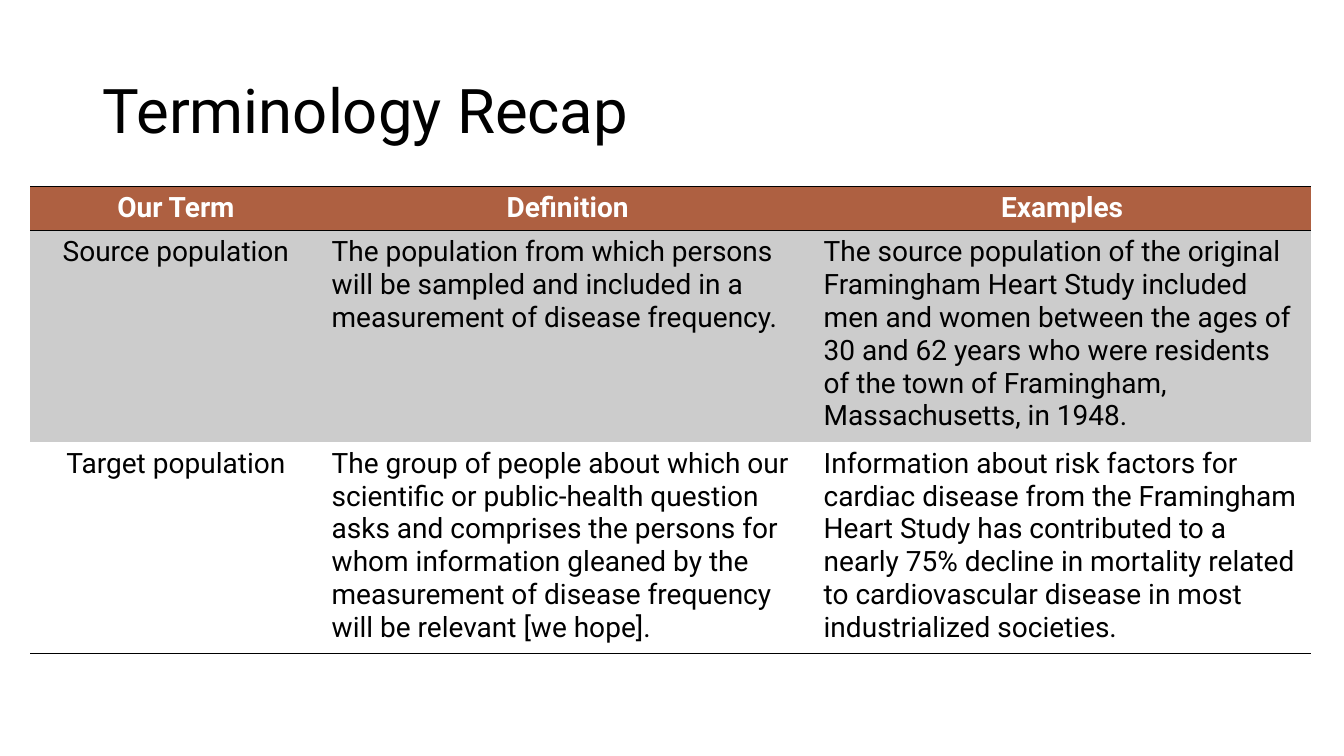
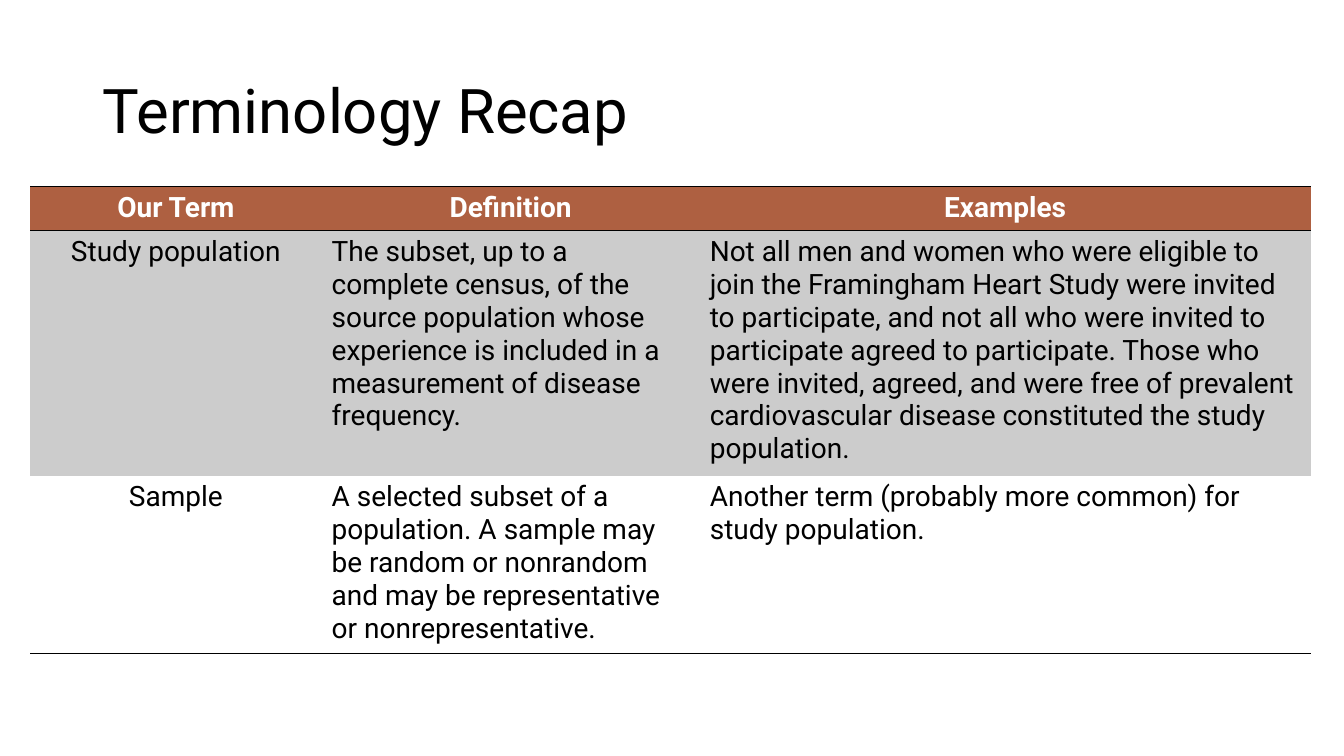
import pptx
import pptx.dml.color
import pptx.enum.text
import pptx.oxml
import pptx.oxml.ns
import pptx.util

Inches = pptx.util.Inches
Pt = pptx.util.Pt
ALIGN = pptx.enum.text.PP_ALIGN
ANCHOR = pptx.enum.text.MSO_ANCHOR

FONT = "Roboto"
BLACK, WHITE, RUST, GREY = "000000", "FFFFFF", "AE6041", "CCCCCC"
TITLE_BOX = (0.92, 0.4, 11.5, 1.45)
TABLE_BOX = (0.3, 1.85, 12.7, 4.55)
HEADER_HEIGHT = 0.43
HEADINGS = ("Our Term", "Definition", "Examples")

SLIDES = [
    {
        "title": "Terminology Recap",
        "widths": (2.89, 4.88, 4.93),
        "heights": (2.06, 2.06),
        "terms": [
            ("Source population",
             "The population from which persons will be sampled and included "
             "in a measurement of disease frequency.",
             "The source population of the original Framingham Heart Study "
             "included men and women between the ages of 30 and 62 years who "
             "were residents of the town of Framingham, Massachusetts, in 1948."),
            ("Target population",
             "The group of people about which our scientific or public-health "
             "question asks and comprises the persons for whom information "
             "gleaned by the measurement of disease frequency will be relevant "
             "[we hope].",
             "Information about risk factors for cardiac disease from the "
             "Framingham Heart Study has contributed to a nearly 75% decline in "
             "mortality related to cardiovascular disease in most "
             "industrialized societies."),
        ],
    },
    {
        "title": "Terminology Recap",
        "widths": (2.89, 3.75, 6.06),
        "heights": (2.38, 1.74),
        "terms": [
            ("Study population",
             "The subset, up to a complete census, of the source population "
             "whose experience is included in a measurement of disease "
             "frequency.",
             "Not all men and women who were eligible to join the Framingham "
             "Heart Study were invited to participate, and not all who were "
             "invited to participate agreed to participate. Those who were "
             "invited, agreed, and were free of prevalent cardiovascular "
             "disease constituted the study population."),
            ("Sample",
             "A selected subset of a population. A sample may be random or "
             "nonrandom and may be representative or nonrepresentative.",
             "Another term (probably more common) for study population."),
        ],
    },
]


def rgb(value):
    return pptx.dml.color.RGBColor.from_string(value)


def write(tf, text, color, align=ALIGN.LEFT, **font):
    p = tf.paragraphs[0]
    p.alignment = align
    r = p.add_run()
    r.text = text
    r.font.color.rgb = rgb(color)
    for name, value in {"name": FONT, **font}.items():
        setattr(r.font, name, value)
    return p


def set_borders(cell, ruled):
    """Rule the named sides in black and clear the others."""
    tc_pr = cell._tc.get_or_add_tcPr()
    for i, side in enumerate("LRTB"):
        line = (f'<a:solidFill><a:srgbClr val="{BLACK}"/></a:solidFill>'
                if side in ruled else "<a:noFill/>")
        tc_pr.insert(i, pptx.oxml.parse_xml(
            f'<a:ln{side} {pptx.oxml.ns.nsdecls("a")} w="{Pt(1)}">{line}</a:ln{side}>'))


def add_title(s, box, text):
    tf = s.shapes.add_textbox(*map(Inches, box)).text_frame
    tf.word_wrap = True
    tf.vertical_anchor = ANCHOR.MIDDLE
    write(tf, text, BLACK, size=Pt(44)).line_spacing = 0.9


def add_term_table(s, box, widths, heights, terms):
    rows = [HEADINGS, *terms]
    table = s.shapes.add_table(len(rows), len(widths), *map(Inches, box)).table
    table.first_row = table.horz_banding = False
    for column, width in zip(table.columns, widths):
        column.width = Inches(width)
    for row, height in zip(table.rows, (HEADER_HEIGHT, *heights)):
        row.height = Inches(height)

    for i, texts in enumerate(rows):
        header, last = i == 0, i == len(rows) - 1
        for j, text in enumerate(texts):
            cell = table.cell(i, j)
            # Header in rust, then alternate grey and clear rows
            if header or i % 2:
                cell.fill.solid()
                cell.fill.fore_color.rgb = rgb(RUST if header else GREY)
            else:
                cell.fill.background()
            set_borders(cell, "TB" if header else "T" if i == 1 else "B" if last else "")
            write(cell.text_frame, text, WHITE if header else BLACK,
                  ALIGN.CENTER if header or j == 0 else ALIGN.LEFT,
                  size=Pt(20), bold=header)


def add_recap_slide(prs, title, widths, heights, terms):
    s = prs.slides.add_slide(prs.slide_layouts[6])
    add_title(s, TITLE_BOX, title)
    add_term_table(s, TABLE_BOX, widths, heights, terms)


def main():
    prs = pptx.Presentation()
    prs.slide_width, prs.slide_height = Inches(13.33), Inches(7.5)
    for content in SLIDES:
        add_recap_slide(prs, **content)
    prs.save("out.pptx")


if __name__ == "__main__":
    main()
